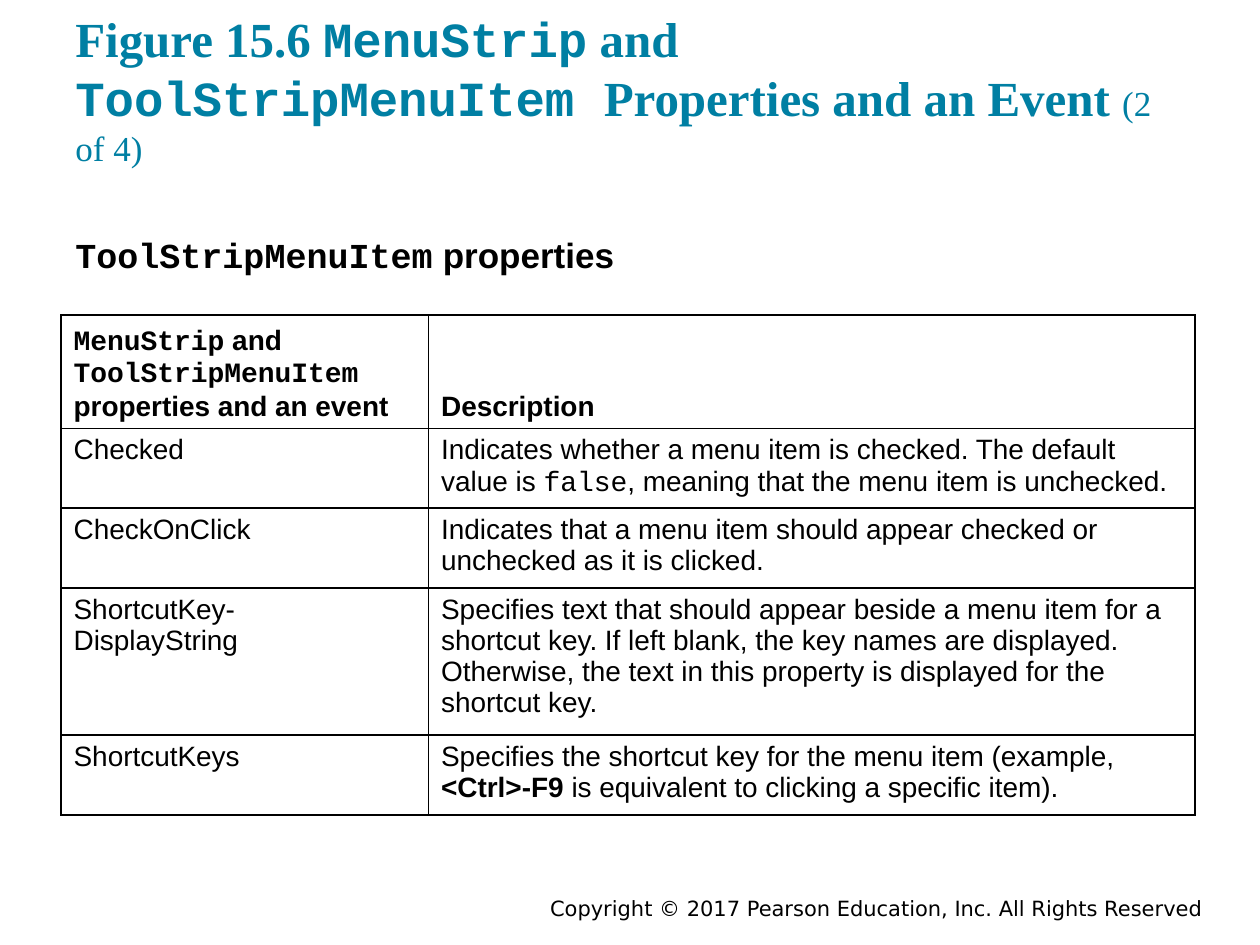
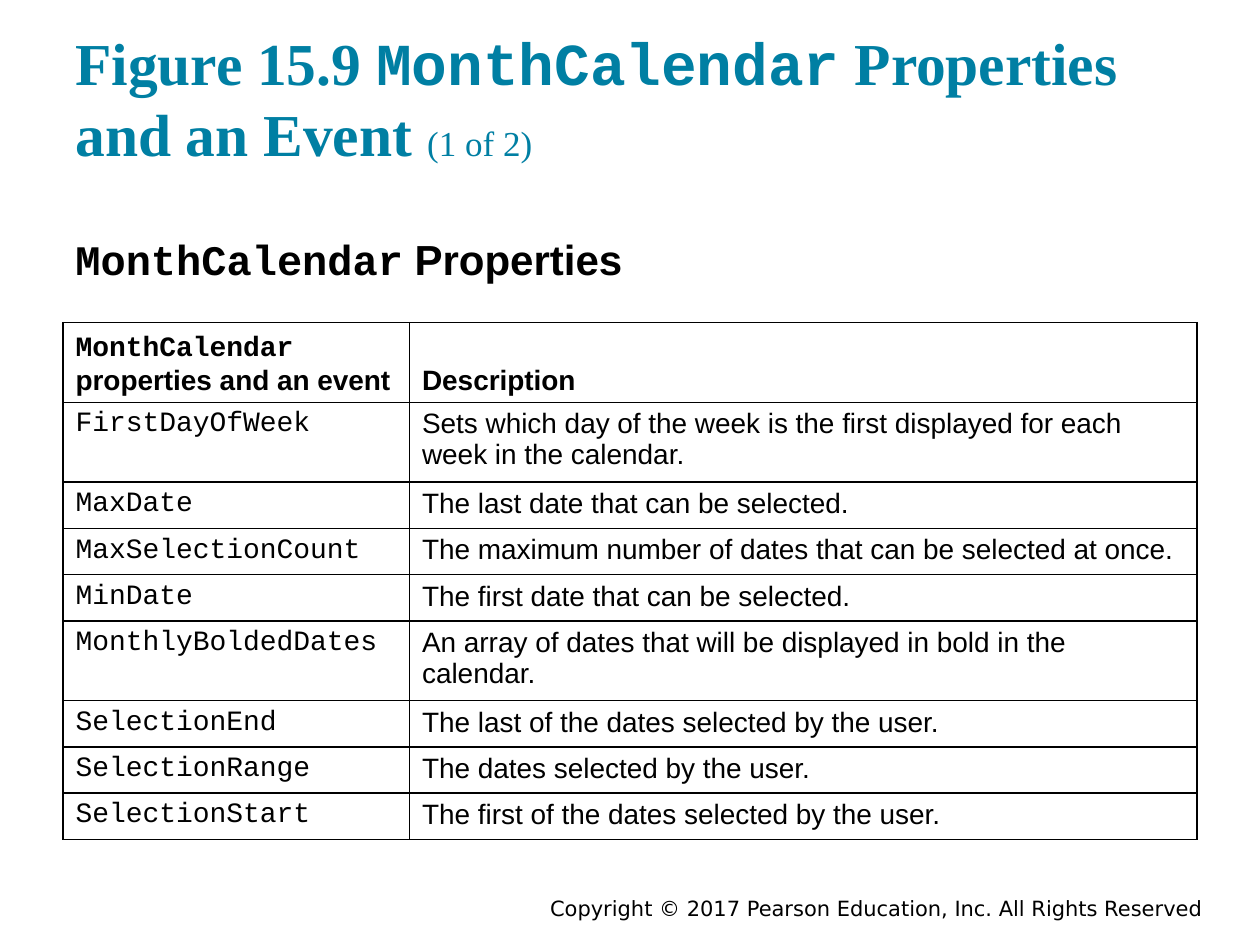
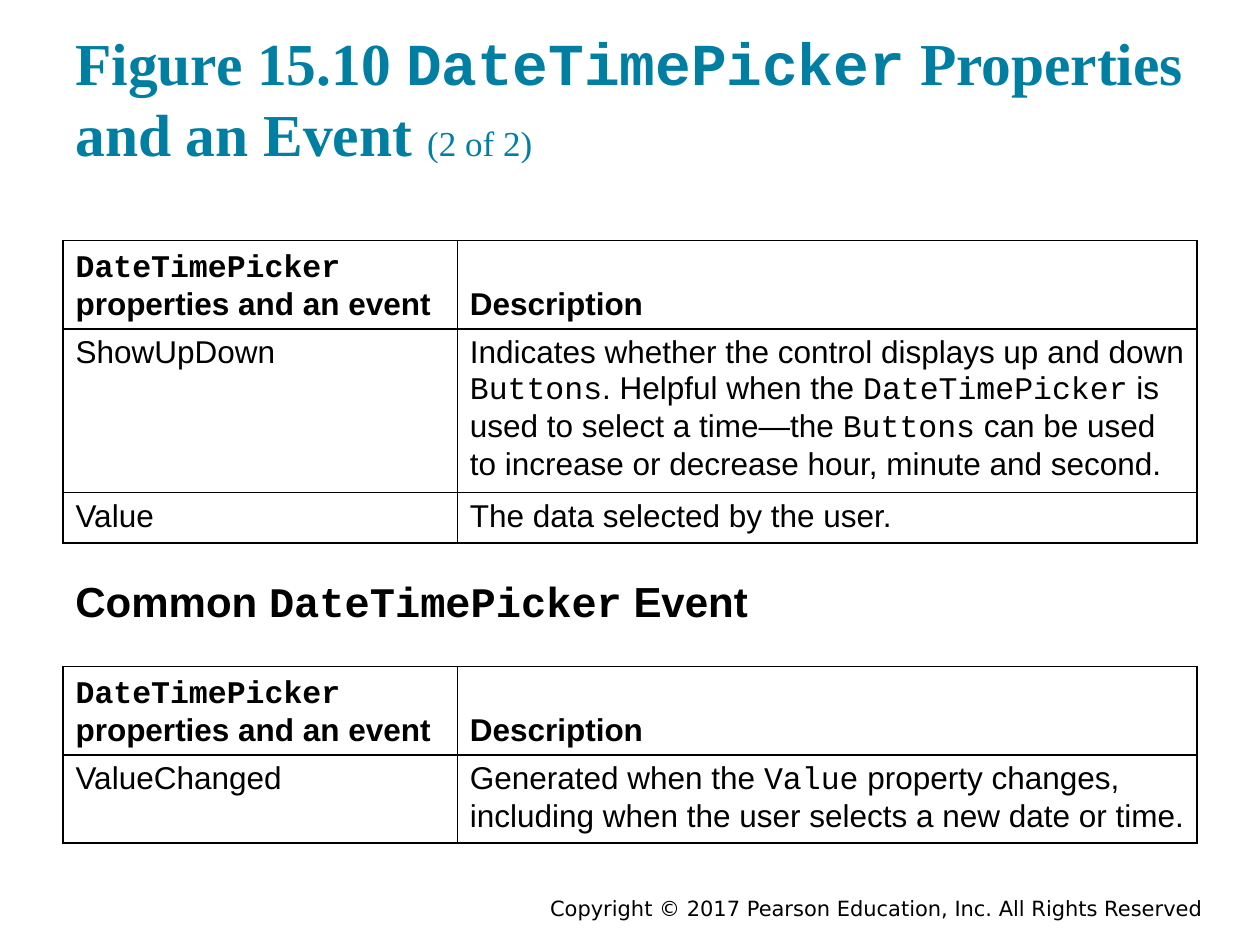
"""Build three slides of control properties and events as ruled tables."""
from lxml.etree import SubElement
from pptx import Presentation
from pptx.dml.color import RGBColor
from pptx.enum.text import MSO_ANCHOR, PP_ALIGN
from pptx.oxml.ns import qn
from pptx.util import Pt

COLORS = {"title": "007FA3", "text": "000000", "rule": "000000", "cell": "FFFFFF"}
SERIF, SANS, CODE, FOOT = "Times New Roman", "Arial", "Courier New", "DejaVu Sans"
FOOTER = "Copyright © 2017 Pearson Education, Inc. All Rights Reserved"

# In all texts below, `...` is set in the code font and *...* in bold.
SLIDES = [
    {
        "title": ("Figure 15.6 `MenuStrip` and `ToolStripMenuItem `Properties and an Event ", "(2 of 4)", 28),
        "heading": ("`ToolStripMenuItem` properties", 20, 126, 35.3),
        "tables": [{
            "left": 34.9, "top": 180, "height": 285.8, "size": 16, "cols": (210, 438),
            "rows": [
                ("`MenuStrip` and `ToolStripMenuItem `properties and an event", "Description"),
                ("Checked", "Indicates whether a menu item is checked. The default value is "
                            "`false`, meaning that the menu item is unchecked."),
                ("CheckOnClick", "Indicates that a menu item should appear checked or unchecked "
                                 "as it is clicked."),
                ("ShortcutKey-\nDisplayString",
                 "Specifies text that should appear beside a menu item for a shortcut key. "
                 "If left blank, the key names are displayed. Otherwise, the text in this "
                 "property is displayed for the shortcut key."),
                ("ShortcutKeys", "Specifies the shortcut key for the menu item (example, "
                                 "*<Ctrl>-F9 *is equivalent to clicking a specific item)."),
            ],
        }],
    },
    {
        "title": ("Figure 15.9 `MonthCalendar` Properties and an Event ", "(1 of 2)", 34),
        "heading": ("`MonthCalendar` Properties", 24, 126, 356.4),
        "tables": [{
            "left": 36, "top": 184.3, "height": 295.2, "size": 16, "cols": (198, 450),
            "rows": [
                ("`MonthCalendar `properties and an event", "Description"),
                ("`FirstDayOfWeek`", "Sets which day of the week is the first displayed for "
                                     "each week in the calendar."),
                ("`MaxDate`", "The last date that can be selected."),
                ("`MaxSelectionCount`", "The maximum number of dates that can be selected at once."),
                ("`MinDate`", "The first date that can be selected."),
                ("`MonthlyBoldedDates`", "An array of dates that will be displayed in bold in "
                                         "the calendar."),
                ("`SelectionEnd`", "The last of the dates selected by the user."),
                ("`SelectionRange`", "The dates selected by the user."),
                ("`SelectionStart`", "The first of the dates selected by the user."),
            ],
        }],
    },
    {
        "title": ("Figure 15.10 `DateTimePicker` Properties and an Event ", "(2 of 2)", 34),
        "heading": ("Common `DateTimePicker` Event", 24, 321.8, 33.8),
        "tables": [
            {
                "left": 36, "top": 137.5, "height": 172.8, "size": 18, "cols": (225.3, 422.7),
                "rows": [
                    ("`DateTimePicker `properties and an event", "Description"),
                    ("ShowUpDown", "Indicates whether the control displays up and down `Buttons`. "
                                   "Helpful when the `DateTimePicker` is used to select a time—the "
                                   "`Buttons` can be used to increase or decrease hour, minute and "
                                   "second."),
                    ("Value", "The data selected by the user."),
                ],
            },
            {
                "left": 36, "top": 380.9, "height": 100.8, "size": 18, "cols": (225.3, 422.7),
                "rows": [
                    ("`DateTimePicker` properties and an event", "Description"),
                    ("ValueChanged", "Generated when the `Value` property changes, including when "
                                     "the user selects a new date or time."),
                ],
            },
        ],
    },
]


def rgb(name):
    return RGBColor.from_string(COLORS[name])


def write(p, text, size, font=SANS, color="text", bold=False):
    p.font.bold = bold
    p.font.color.rgb = rgb(color)
    for i, part in enumerate(text.split("`")):
        for j, piece in enumerate(part.split("*")):
            if piece:
                r = p.add_run()
                r.text = piece
                r.font.name = CODE if i % 2 else font
                r.font.size = Pt(size)
                if j % 2:
                    r.font.bold = True


def add_box(s, left, top, width, height, anchor=MSO_ANCHOR.TOP, inset=7.2):
    tf = s.shapes.add_textbox(Pt(left), Pt(top), Pt(width), Pt(height)).text_frame
    tf.word_wrap, tf.vertical_anchor = True, anchor
    tf.margin_top = tf.margin_bottom = Pt(inset)
    return tf.paragraphs[0]


def add_title(s, text, part, size):
    p = add_box(s, 36, 17, 648, 86.4, MSO_ANCHOR.BOTTOM)
    write(p, text, size, SERIF, "title", True)
    r = p.add_run()
    r.text = part
    r.font.name, r.font.size, r.font.bold = SERIF, Pt(20), False


def add_footer(s):
    p = add_box(s, 216, 509.8, 478.5, 18, MSO_ANCHOR.MIDDLE, 3.6)
    p.alignment = PP_ALIGN.RIGHT
    write(p, FOOTER, 12, FOOT)


def rule_cell(cell):
    props = cell._tc.get_or_add_tcPr()
    for side in ("lnL", "lnR", "lnT", "lnB"):
        line = SubElement(props, qn(f"a:{side}"), w=str(Pt(1)))
        fill = SubElement(line, qn("a:solidFill"))
        SubElement(fill, qn("a:srgbClr"), val=COLORS["rule"])
    cell.fill.solid()
    cell.fill.fore_color.rgb = rgb("cell")


def add_ruled_table(s, left, top, height, size, cols, rows):
    frame = s.shapes.add_table(len(rows), len(cols), Pt(left), Pt(top),
                               Pt(sum(cols)), Pt(height))
    table = frame.table
    table.first_row = table.horz_banding = False
    for column, width in zip(table.columns, cols):
        column.width = Pt(width)
    for i, (row, texts) in enumerate(zip(table.rows, rows)):
        row.height = Pt(0)
        for cell, text in zip(row.cells, texts):
            rule_cell(cell)
            cell.vertical_anchor = MSO_ANCHOR.TOP if i else MSO_ANCHOR.BOTTOM
            tf = cell.text_frame
            for k, line in enumerate(text.split("\n")):
                p = tf.add_paragraph() if k else tf.paragraphs[0]
                write(p, line, size, bold=i == 0)
    frame.height = Pt(height)


def main():
    prs = Presentation()
    prs.slide_width, prs.slide_height = Pt(720), Pt(540)
    for content in SLIDES:
        s = prs.slides.add_slide(prs.slide_layouts[6])
        add_footer(s)
        add_title(s, *content["title"])
        text, size, top, height = content["heading"]
        write(add_box(s, 36, top, 648, height), text, size, bold=True)
        for table in content["tables"]:
            add_ruled_table(s, **table)
    prs.save("out.pptx")


if __name__ == "__main__":
    main()
